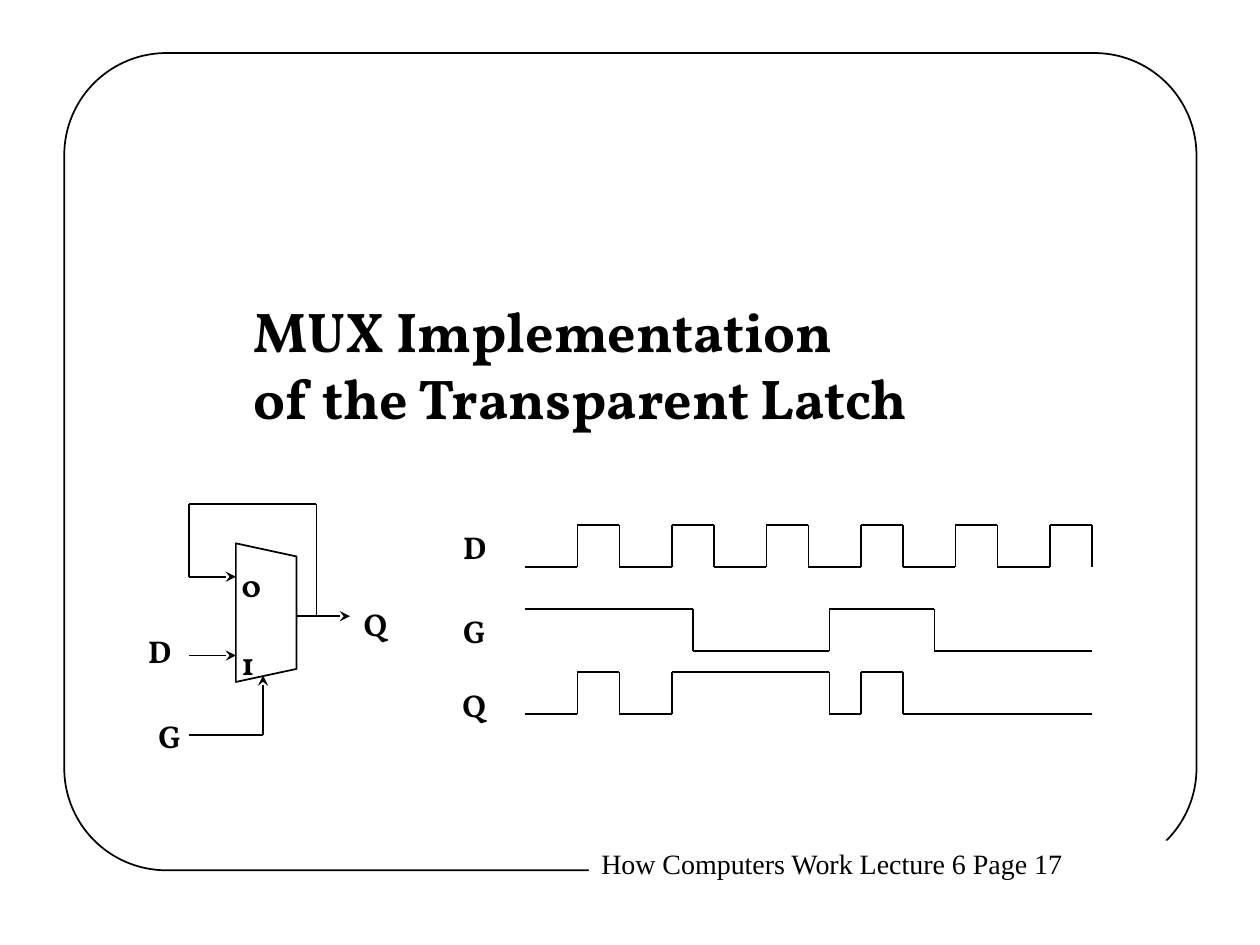
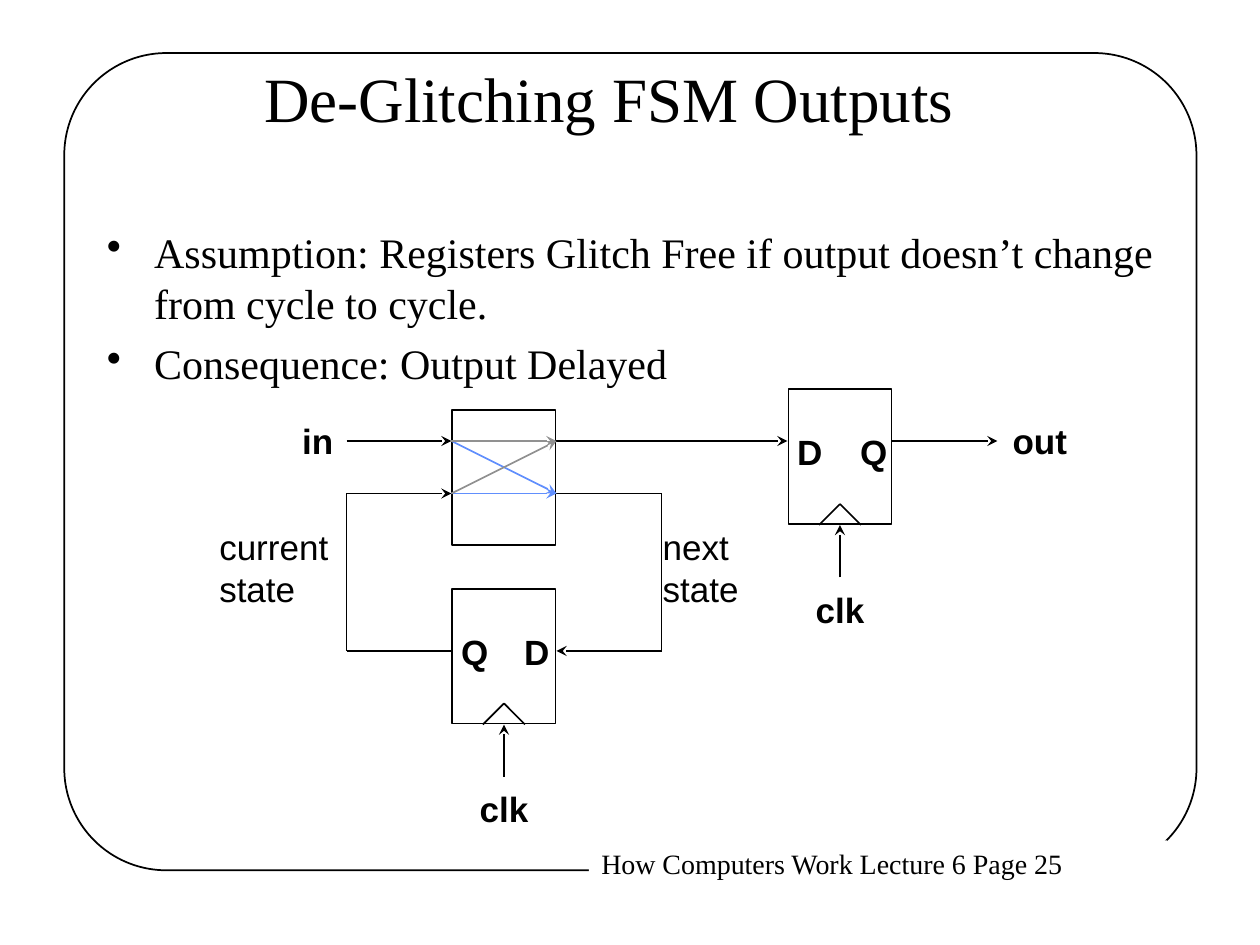
from dataclasses import dataclass
from itertools import pairwise
from typing import Any

from pptx import Presentation
from pptx.dml.color import RGBColor
from pptx.enum.shapes import MSO_CONNECTOR as Connector
from pptx.enum.shapes import MSO_SHAPE as Preset
from pptx.enum.text import MSO_ANCHOR as Anchor
from pptx.enum.text import MSO_AUTO_SIZE as AutoSize
from pptx.enum.text import PP_ALIGN as Align
from pptx.oxml.ns import qn
from pptx.oxml.xmlchemy import OxmlElement
from pptx.util import Pt

BLACK = RGBColor(0x00, 0x00, 0x00)
WHITE = RGBColor(0xFF, 0xFF, 0xFF)
BLUE = RGBColor(0x61, 0x8F, 0xFD)
GRAY = RGBColor(0x91, 0x91, 0x91)

LINE_WIDTH = Pt(1)
TITLE_ONLY = 5

# Font formats
SERIF = {"name": "Times New Roman", "bold": False}
SIGNAL = {"name": "Vollkorn", "size": Pt(18), "bold": True}
PIN = {"name": "Arial", "size": Pt(20), "bold": True}
STATE = {**PIN, "bold": False}

# Text frame formats
MARGINS = {"margin_left": Pt(7.2), "margin_right": Pt(7.2),
           "margin_top": Pt(3.6), "margin_bottom": Pt(3.6)}
FITTED = {**MARGINS, "word_wrap": False, "auto_size": AutoSize.SHAPE_TO_FIT_TEXT,
          "vertical_anchor": Anchor.TOP}
WRAPPED = {**MARGINS, "word_wrap": True, "auto_size": AutoSize.NONE,
           "vertical_anchor": Anchor.TOP}

Point = tuple[float, float]


@dataclass(frozen=True)
class Box:
    left: float
    top: float
    width: float
    height: float

    def lengths(self) -> tuple[Pt, Pt, Pt, Pt]:
        return Pt(self.left), Pt(self.top), Pt(self.width), Pt(self.height)


@dataclass(frozen=True)
class Label:
    text: str
    box: Box


@dataclass(frozen=True)
class Wave:
    """A digital signal that toggles at each edge."""
    label: Label
    high: float
    starts_high: bool
    edges: list[float]


@dataclass(frozen=True)
class Register:
    center: float
    bottom: float
    left_pin: str
    right_pin: str


# Shared helpers
def apply(target: Any, values: dict[str, Any]) -> None:
    for name, value in values.items():
        setattr(target, name, value)


def write(shape: Any, text: str, font: dict[str, Any], frame: dict[str, Any],
          align: Align = Align.LEFT) -> None:
    shape.text_frame.text = text
    apply(shape.text_frame, frame)
    for paragraph in shape.text_frame.paragraphs:
        paragraph.alignment = align
        for run in paragraph.runs:
            apply(run.font, font)
            run.font.color.rgb = BLACK


def add_label(slide: Any, label: Label, font: dict[str, Any]) -> None:
    write(slide.shapes.add_textbox(*label.box.lengths()), label.text, font, FITTED)


def outline(shape: Any) -> None:
    shape.shadow.inherit = False
    shape.line.color.rgb = BLACK
    shape.line.width = LINE_WIDTH


def add_box(slide: Any, box: Box) -> None:
    shape = slide.shapes.add_shape(Preset.RECTANGLE, *box.lengths())
    outline(shape)
    shape.fill.solid()
    shape.fill.fore_color.rgb = WHITE


def add_wire(slide: Any, points: list[Point], arrow: bool = False,
             color: RGBColor = BLACK) -> None:
    """Join the points by straight lines, with an arrowhead at the last one."""
    for start, end in pairwise(points):
        connector = slide.shapes.add_connector(
            Connector.STRAIGHT, *(Pt(value) for value in start + end))
        connector.line.color.rgb = color
        connector.line.width = LINE_WIDTH
        properties = connector.element.spPr
        properties.append(OxmlElement("a:effectLst"))
        if arrow and end == points[-1]:
            head = OxmlElement("a:tailEnd")
            head.set("type", "stealth")
            properties.find(qn("a:ln")).append(head)


def add_slide(presentation: Any, page: int) -> Any:
    """Add a slide with the rounded frame and the footer."""
    slide = presentation.slides.add_slide(presentation.slide_layouts[TITLE_ONLY])
    frame = slide.shapes.add_shape(
        Preset.ROUNDED_RECTANGLE, *Box(36.7, 30.3, 647, 467).lengths())
    frame.adjustments[0] = 0.125
    frame.fill.background()
    outline(frame)
    footer = slide.shapes.add_shape(
        Preset.RECTANGLE, *Box(336.5, 480.2, 330.5, 26.6).lengths())
    footer.shadow.inherit = False
    footer.fill.solid()
    footer.fill.fore_color.rgb = WHITE
    footer.line.fill.background()
    write(footer, f"How Computers Work Lecture 6 Page {page}",
          {**SERIF, "size": Pt(16)}, FITTED)
    return slide


def set_title(slide: Any, text: str, box: Box, font: dict[str, Any],
              frame: dict[str, Any], align: Align) -> None:
    title = slide.shapes.title
    title.left, title.top, title.width, title.height = box.lengths()
    write(title, text, font, frame, align)


# Transparent latch slide
WAVE_START, WAVE_END, WAVE_HEIGHT = 300, 624, 24
CLOCK_PERIOD, CLOCK_LOW = 54, 30


def add_wave(slide: Any, wave: Wave) -> None:
    levels = (wave.high, wave.high + WAVE_HEIGHT)
    level = 0 if wave.starts_high else 1
    points = [(WAVE_START, levels[level])]
    for edge in wave.edges:
        points.append((edge, levels[level]))
        level = 1 - level
        points.append((edge, levels[level]))
    if points[-1][0] < WAVE_END:
        points.append((WAVE_END, levels[level]))
    add_wire(slide, points)
    add_label(slide, wave.label, SIGNAL)


def signal_label(text: str, left: float, top: float, width: float = 28.4) -> Label:
    return Label(text, Box(left, top, width, 29))


def add_multiplexer(slide: Any) -> None:
    left, right, wire_start = 134.8, 169.4, 108
    zero, one, output = 329.6, 374.6, 352.1
    builder = slide.shapes.build_freeform(Pt(left), Pt(310.5))
    builder.add_line_segments(
        [(Pt(left), Pt(389.7)), (Pt(right), Pt(382.3)), (Pt(right), Pt(318))])
    body = builder.convert_to_shape()
    body.fill.background()
    outline(body)
    # Feedback, data, output and gate wires
    add_wire(slide, [(180.8, output), (180.8, 288), (wire_start, 288),
                     (wire_start, zero), (left, zero)], arrow=True)
    add_wire(slide, [(wire_start, one), (left, one)], arrow=True)
    add_wire(slide, [(right, output), (200, output)], arrow=True)
    add_wire(slide, [(wire_start, 420), (150.3, 420), (150.3, 386)], arrow=True)
    for label in (signal_label("D", 77.6, 357.8), signal_label("G", 83.5, 406),
                  signal_label("Q", 200.7, 342), signal_label("0", 131, 319.7, 24.5),
                  signal_label("1", 131, 364.5, 24.5)):
        add_label(slide, label, SIGNAL)


def build_latch_slide(presentation: Any) -> None:
    slide = add_slide(presentation, 17)
    set_title(slide, "MUX Implementation\nof the Transparent Latch",
              Box(137.5, 165.6, 419, 84.2), {**SIGNAL, "size": Pt(32)},
              FITTED, Align.LEFT)
    add_multiplexer(slide)
    data_edges = [edge for fall in range(WAVE_START, WAVE_END, CLOCK_PERIOD)
                  for edge in (fall + CLOCK_LOW, fall + CLOCK_PERIOD)]
    for wave in (
        Wave(signal_label("D", 257.6, 298), 300, False, data_edges),
        Wave(signal_label("G", 257.6, 346), 348, True, [396, 474, 534]),
        Wave(signal_label("Q", 257.2, 388.2), 384, False,
             [330, 354, 384, 474, 492, 516]),
    ):
        add_wave(slide, wave)


# State machine slide
def add_bullets(slide: Any, items: list[str], box: Box) -> None:
    shape = slide.shapes.add_textbox(*box.lengths())
    write(shape, "\n".join(items), {**SERIF, "size": Pt(24)}, WRAPPED)
    for paragraph in shape.text_frame.paragraphs:
        paragraph.space_before = Pt(6)
        properties = paragraph._p.get_or_add_pPr()
        properties.set("marL", str(Pt(27)))
        properties.set("indent", str(Pt(-27)))
        bullet = OxmlElement("a:buChar")
        bullet.set("char", "•")
        properties.append(bullet)


def pin_label(text: str, left: float, top: float, width: float = 30) -> Label:
    return Label(text, Box(left, top, width, 31))


def add_register(slide: Any, register: Register) -> None:
    center, bottom = register.center, register.bottom
    add_box(slide, Box(center - 29.5, bottom - 77.5, 59, 77))
    add_wire(slide, [(center - 12, bottom), (center, bottom - 12),
                     (center + 12, bottom)])
    add_wire(slide, [(center, bottom + 30), (center, bottom)], arrow=True)
    for label in (pin_label(register.left_pin, center - 31.5, bottom - 57.5),
                  pin_label(register.right_pin, center + 4.5, bottom - 57.5),
                  pin_label("clk", center - 21, bottom + 32.5, 43)):
        add_label(slide, label, PIN)


def build_outputs_slide(presentation: Any) -> None:
    slide = add_slide(presentation, 25)
    set_title(slide, "De-Glitching FSM Outputs", Box(126, 41, 444, 29),
              {**SERIF, "size": Pt(36)},
              {**WRAPPED, "vertical_anchor": Anchor.MIDDLE}, Align.CENTER)
    add_bullets(slide, [
        "Assumption: Registers Glitch Free if output doesn’t change from cycle to cycle.",
        "Consequence: Output Delayed",
    ], Box(54, 126, 612, 324))

    # Logic block and registers
    add_box(slide, Box(258.5, 234.5, 59, 77))
    add_register(slide, Register(288, 414, "Q", "D"))
    add_register(slide, Register(480, 300, "D", "Q"))

    # Wires between the blocks
    left, right, upper, lower, feedback = 258, 318, 252, 282, 372
    add_wire(slide, [(198, upper), (left, upper)], arrow=True)
    add_wire(slide, [(right, upper), (450, upper)], arrow=True)
    add_wire(slide, [(510, upper), (570, upper)], arrow=True)
    add_wire(slide, [(right, lower), (378, lower), (378, feedback),
                     (right, feedback)], arrow=True)
    add_wire(slide, [(left, feedback), (198, feedback), (198, lower),
                     (left, lower)], arrow=True)

    # Paths through the logic
    for start, end, color in ((upper, lower, BLUE), (lower, lower, BLUE),
                              (lower, upper, GRAY), (upper, upper, GRAY)):
        add_wire(slide, [(left, start), (right, end)], arrow=True, color=color)

    for label in (pin_label("in", 165.6, 236.2, 34), pin_label("out", 571.5, 236.2, 49)):
        add_label(slide, label, PIN)
    for label in (Label("current\nstate", Box(118.2, 296.6, 84, 55.4)),
                  Label("next\nstate", Box(371.6, 296.6, 61, 55.4))):
        add_label(slide, label, STATE)


presentation = Presentation()
presentation.slide_width, presentation.slide_height = Pt(720), Pt(540)
build_latch_slide(presentation)
build_outputs_slide(presentation)
presentation.save("out.pptx")
